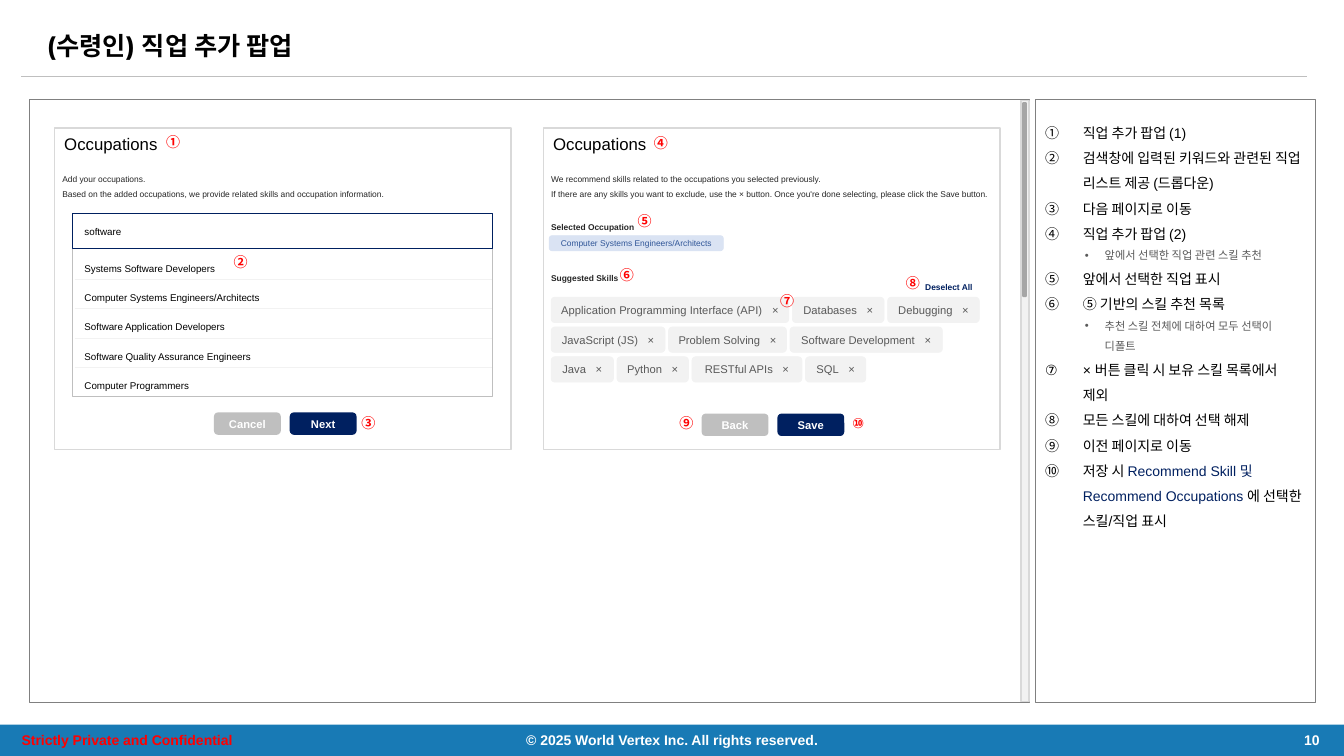
import pptx
import pptx.dml.color
import pptx.enum.shapes
import pptx.enum.text
import pptx.oxml.ns
import pptx.util
from lxml import etree

Cm = pptx.util.Cm
Pt = pptx.util.Pt
RGBColor = pptx.dml.color.RGBColor
Shape = pptx.enum.shapes.MSO_SHAPE
Align = pptx.enum.text.PP_ALIGN
Anchor = pptx.enum.text.MSO_ANCHOR
qn = pptx.oxml.ns.qn

WHITE = RGBColor(0xFF, 0xFF, 0xFF)
BLACK = RGBColor(0, 0, 0)
RED = RGBColor(0xFF, 0, 0)
BLUE = RGBColor(0x18, 0x7A, 0xB5)
NAVY = RGBColor(0, 0x20, 0x60)
SKY = RGBColor(0xDA, 0xE3, 0xF3)
STEEL = RGBColor(0x2F, 0x55, 0x97)
INK = RGBColor(0x26, 0x26, 0x26)
SLATE = RGBColor(0x59, 0x59, 0x59)
FRAME = RGBColor(0x80, 0x80, 0x80)
THUMB = RGBColor(0xA6, 0xA6, 0xA6)
GREY = RGBColor(0xBF, 0xBF, 0xBF)
PALE = RGBColor(0xD9, 0xD9, 0xD9)
MIST = RGBColor(0xF2, 0xF2, 0xF2)

LATIN = "Arial"
HANGUL = "Noto Sans CJK KR"
PAD = (0.25, 0.13, 0.25, 0.13)
INSET = (0.2, 0.13, 0.25, 0.13)


class Page:
    def __init__(self, deck):
        self.slide = deck.slides.add_slide(deck.slide_layouts[1])
        self.shapes = self.slide.shapes

    def font(self, font, size, ink, bold=False, face=LATIN):
        font.size = Pt(size)
        font.bold = bold
        font.name = face
        font.color.rgb = ink
        etree.SubElement(font._element, qn("a:ea")).set("typeface", HANGUL)

    def frame(self, shape, pad=PAD, anchor=Anchor.TOP):
        frame = shape.text_frame
        frame.auto_size = pptx.enum.text.MSO_AUTO_SIZE.NONE
        frame.word_wrap = True
        frame.vertical_anchor = anchor
        frame.margin_left, frame.margin_top, frame.margin_right, frame.margin_bottom = map(Cm, pad)
        return frame

    def label(self, shape, lines, size, ink, bold=False, align=Align.LEFT, space=1.0,
              pad=PAD, anchor=Anchor.TOP, face=LATIN):
        frame = self.frame(shape, pad, anchor)
        frame.text = "\n".join(lines)
        for para in frame.paragraphs:
            para.alignment = align
            para.line_spacing = space
            self.font(para.font, size, ink, bold, face)
        return frame

    def shape(self, box, fill=None, line=None, width=1, kind=Shape.RECTANGLE, curve=None):
        shape = self.shapes.add_shape(kind, *map(Cm, box))
        shape.shadow.inherit = False
        if curve is not None:
            shape.adjustments[0] = curve
        for part, ink in ((shape.fill, fill), (shape.line.fill, line)):
            if ink is None:
                part.background()
            else:
                part.solid()
                part.fore_color.rgb = ink
        if line is not None:
            shape.line.width = Pt(width)
        return shape

    def text(self, box, lines, size, ink, **style):
        return self.label(self.shapes.add_textbox(*map(Cm, box)), lines, size, ink, **style)

    def rule(self, left, right, top, ink, width):
        line = self.shapes.add_connector(
            pptx.enum.shapes.MSO_CONNECTOR.STRAIGHT, Cm(left), Cm(top), Cm(right), Cm(top))
        line.line.color.rgb = ink
        line.line.width = Pt(width)
        etree.SubElement(line._element.spPr, qn("a:effectLst"))

    def mark(self, sign, left, top, face=HANGUL):
        frame = self.text((left, top, 0.71, 0.71), [sign], 10, RED, bold=True, face=face)
        frame.word_wrap = False
        frame.paragraphs[0].space_before = Pt(6)

    def button(self, words, left, top, ink):
        shape = self.shape((left, top, 1.65, 0.53), ink, ink, kind=Shape.ROUNDED_RECTANGLE)
        self.label(shape, [words], 8, WHITE, bold=True, align=Align.CENTER, anchor=Anchor.MIDDLE)

    def chip(self, words, left, top, width):
        shape = self.shape((left, top, width, 0.64), MIST, MIST, 0.5, Shape.ROUNDED_RECTANGLE, 0.15)
        frame = self.label(shape, [words], 8, SLATE, align=Align.CENTER,
                           pad=(0, 0.13, 0, 0.13), anchor=Anchor.MIDDLE)
        gap, cross = (frame.paragraphs[0].add_run() for _ in range(2))
        gap.text, cross.text = " ", "×"
        gap._r.get_or_add_rPr().set("spc", "450")

    def panel(self, left, intro):
        card = self.shape((left, 3.23, 11.51, 8.1), WHITE, PALE)
        self.label(card, ["Occupations"], 12, BLACK)
        self.text((left, 4.01, 11.51, 1.24), intro, 6, INK, space=1.5, pad=INSET, anchor=Anchor.MIDDLE)

    def title(self, words):
        title = self.shapes.title
        title.left, title.top, title.width, title.height = map(Cm, (0.94, 0.71, 29.01, 0.99))
        self.label(title, [words], 18, BLACK, bold=True, space=0.9,
                   anchor=Anchor.MIDDLE, face="Montserrat")

    def notes(self, items):
        body = self.slide.placeholders[1]
        body.left, body.top, body.width, body.height = map(Cm, (26.09, 2.51, 7.06, 15.19))
        body.line.color.rgb = FRAME
        body.line.width = Pt(1)
        frame = self.frame(body, (0.25, 0.41, 0.25, 0.41))
        for i, (level, runs) in enumerate(items):
            para = frame.paragraphs[0] if i == 0 else frame.add_paragraph()
            para.level = level
            para.line_spacing = 1.5
            para.space_before = para.space_after = Pt(0)
            para.alignment = Align.LEFT
            self.font(para.font, *((8, SLATE) if level else (10, BLACK)))
            props = para._p.get_or_add_pPr()
            props.set("marL", str(Cm(1.5 if level else 0.95)))
            props.set("indent", str(Cm(-0.5 if level else -0.95)))
            tag, key, value = (("a:buChar", "char", "•") if level
                               else ("a:buAutoNum", "type", "circleNumDbPlain"))
            bullet = etree.Element(qn(tag))
            bullet.set(key, value)
            props.find(qn("a:defRPr")).addprevious(bullet)
            for words, ink in runs:
                run = para.add_run()
                run.text = words
                if ink is not None:
                    run.font.color.rgb = ink


def main():
    deck = pptx.Presentation()
    deck.slide_width, deck.slide_height = Cm(33.87), Cm(19.05)
    page = Page(deck)

    page.shape((0, 18.26, 33.87, 0.79), BLUE)
    for left, width, words, ink in (
            (12.73, 8.41, "© 2025 World Vertex Inc. All rights reserved.", WHITE),
            (32.26, 1.6, "10", WHITE),
            (0, 6.4, "Strictly Private and Confidential", RED)):
        page.text((left, 18.26, width, 0.79), [words], 10, ink, bold=True,
                  align=Align.CENTER, anchor=Anchor.MIDDLE)
    page.rule(0.53, 32.94, 1.93, GREY, 0.5)
    page.title("(수령인) 직업 추가 팝업")

    page.shape((0.74, 2.51, 25.2, 15.19), line=FRAME)
    page.shape((25.73, 2.54, 0.2, 15.14), MIST, PALE)
    page.shape((25.78, 2.59, 0.08, 4.88), THUMB, THUMB, kind=Shape.ROUNDED_RECTANGLE)
    page.notes([
        (0, [("직업 추가 팝업 (1)", None)]),
        (0, [("검색창에 입력된 키워드와 관련된 직업 리스트 제공 (드롭다운)", None)]),
        (0, [("다음 페이지로 이동", None)]),
        (0, [("직업 추가 팝업 (2)", None)]),
        (1, [("앞에서 선택한 직업 관련 스킬 추천", None)]),
        (0, [("앞에서 선택한 직업 표시", None)]),
        (0, [("⑤ 기반의 스킬 추천 목록", None)]),
        (1, [("추천 스킬 전체에 대하여 모두 선택이 디폴트", None)]),
        (0, [("× 버튼 클릭 시 보유 스킬 목록에서 제외", None)]),
        (0, [("모든 스킬에 대하여 선택 해제", None)]),
        (0, [("이전 페이지로 이동", None)]),
        (0, [("저장 시 ", None), ("Recommend Skill 및 Recommend Occupations ", NAVY),
             ("에 선택한 스킬/직업 표시", None)])])

    page.panel(1.37, ["Add your occupations.",
                      "Based on the added occupations, we provide related skills and occupation information."])
    drop = page.shape((1.83, 5.38, 10.57, 4.62), WHITE, GREY, 0.5)
    page.label(drop, ["Systems Software Developers", "Computer Systems Engineers/Architects",
                      "Software Application Developers", "Software Quality Assurance Engineers",
                      "Computer Programmers"], 7, BLACK, space=2.5, pad=(0.3, 0.79, 0.25, 0.13))
    for row in range(4):
        page.rule(1.88, 12.4, 7.04 + 0.74 * row, MIST, 0.75)
    query = page.shape((1.83, 5.38, 10.57, 0.89), WHITE, NAVY, 0.5)
    page.label(query, ["software"], 7, BLACK, pad=(0.3, 0.13, 0.25, 0.13), anchor=Anchor.MIDDLE)
    page.button("Cancel", 5.41, 10.41, GREY)
    page.button("Next", 7.32, 10.41, NAVY)

    page.panel(13.69, ["We recommend skills related to the occupations you selected previously.",
                       "If there are any skills you want to exclude, use the × button. "
                       "Once you're done selecting, please click the Save button."])
    for top, words in ((5.33, "Selected Occupation"), (6.63, "Suggested Skills")):
        page.text((13.69, top, 11.51, 1.24), [words], 6, INK, bold=True, space=1.5, pad=INSET)
    job = page.shape((13.84, 5.94, 4.39, 0.38), SKY, SKY, 0.5, Shape.ROUNDED_RECTANGLE, 0.2)
    page.label(job, ["Computer Systems Engineers/Architects"], 6, STEEL,
               align=Align.CENTER, anchor=Anchor.MIDDLE)
    page.text((22.73, 6.86, 2.03, 0.56), ["Deselect All"], 6, NAVY, bold=True,
              align=Align.RIGHT, space=1.5, pad=INSET)
    for row, chips in enumerate((
            (("Application Programming Interface (API)", 5.99), ("Databases", 2.31), ("Debugging", 2.31)),
            (("JavaScript (JS)", 2.87), ("Problem Solving", 2.97), ("Software Development", 3.84)),
            (("Java", 1.57), ("Python", 1.8), ("RESTful APIs", 2.77), ("SQL", 1.52)))):
        left = 13.89
        for words, width in chips:
            page.chip(words, left, 7.49 + 0.75 * row, width)
            left += width + 0.09
    page.button("Back", 17.7, 10.44, GREY)
    page.button("Save", 19.61, 10.44, NAVY)

    for sign, left, top in (("①", 3.94, 3.23), ("②", 5.64, 6.27), ("③", 8.86, 10.31),
                            ("④", 16.23, 3.25), ("⑤", 15.82, 5.23), ("⑥", 15.37, 6.58),
                            ("⑦", 19.41, 7.24), ("⑧", 22.58, 6.78), ("⑨", 16.87, 10.31)):
        page.mark(sign, left, top)
    page.mark("⑩", 21.23, 10.31, LATIN)
    deck.save("out.pptx")


if __name__ == "__main__":
    main()
